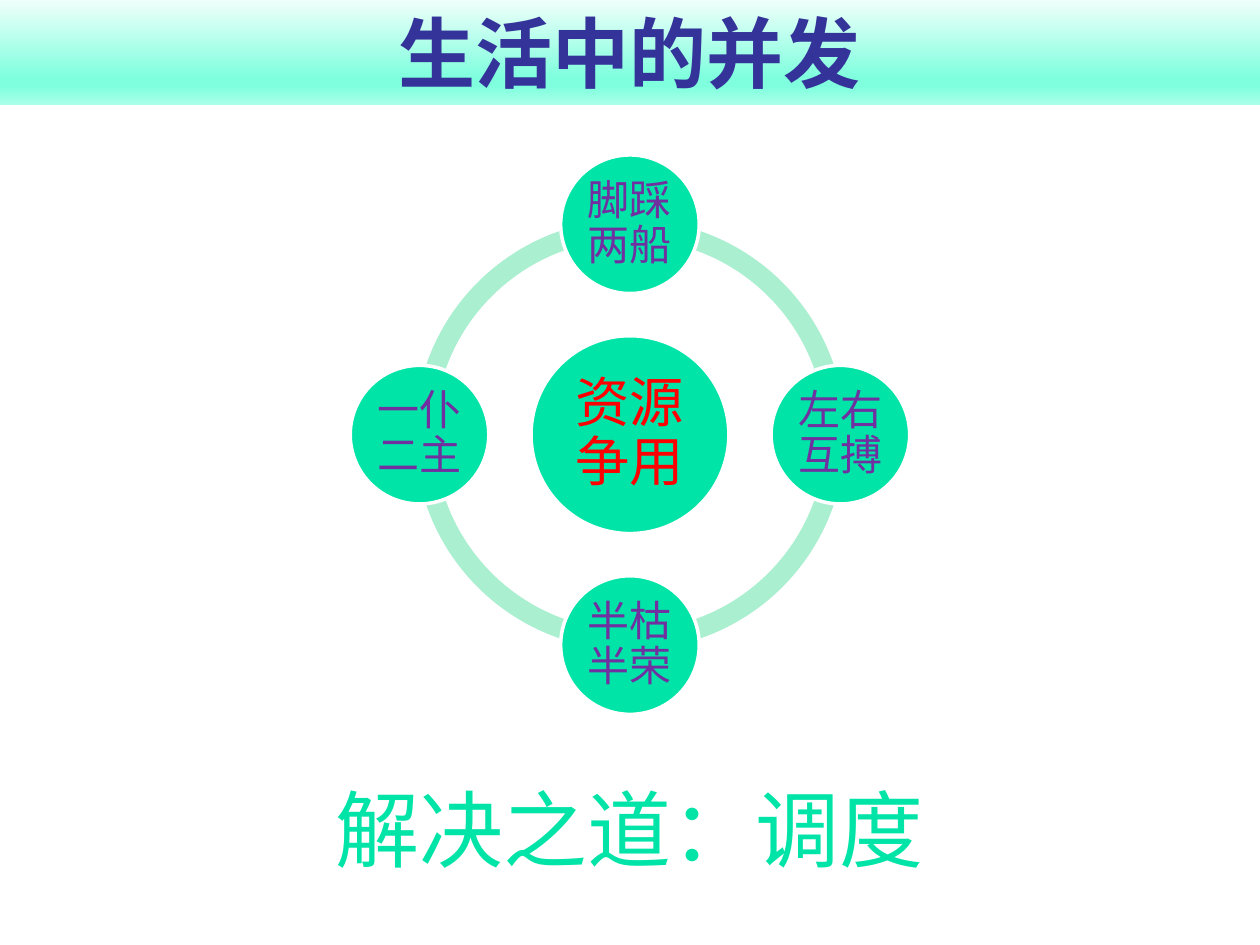
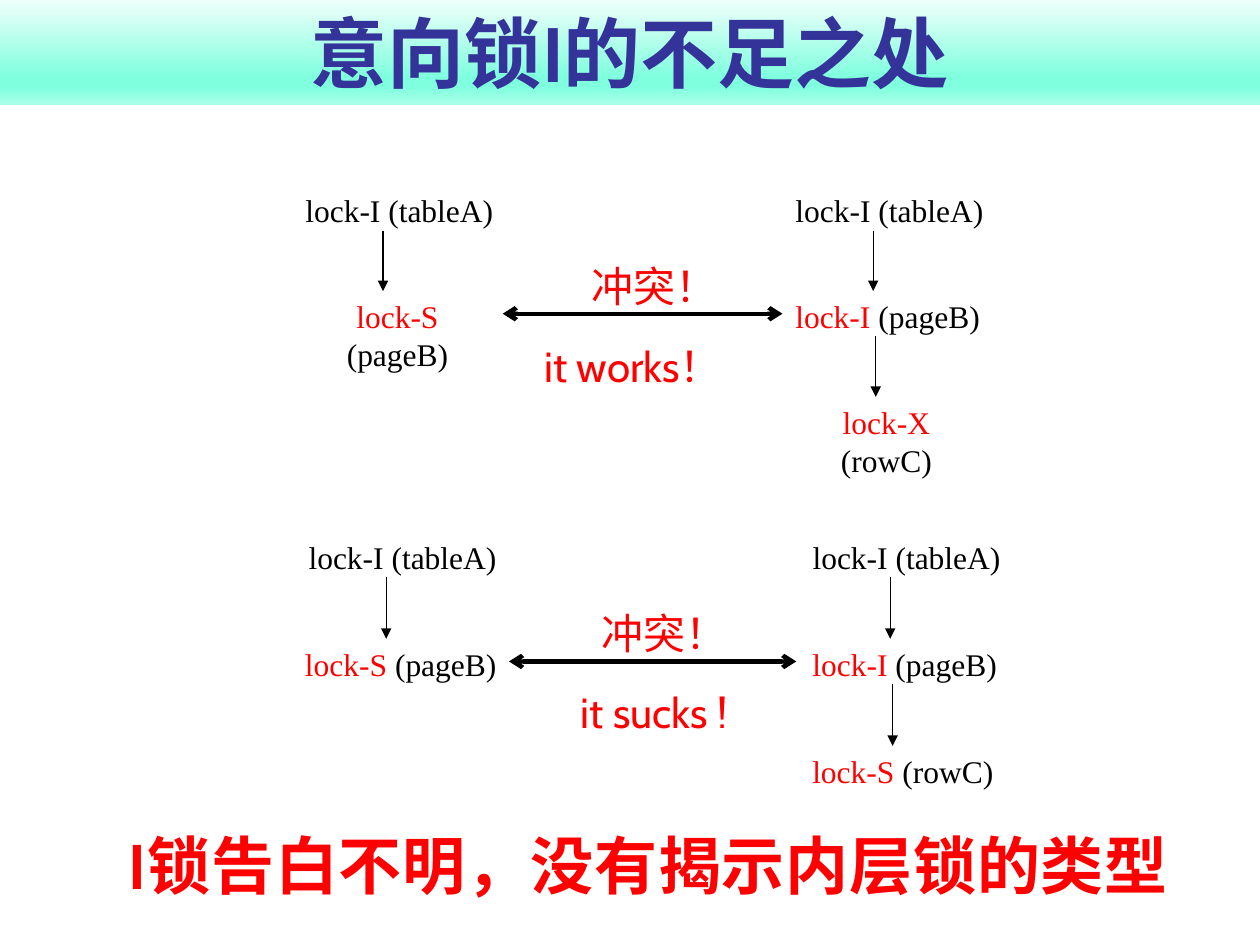
from lxml import etree
from pptx import Presentation
from pptx.dml.color import RGBColor
from pptx.enum.shapes import MSO_CONNECTOR, MSO_SHAPE
from pptx.enum.text import MSO_ANCHOR, PP_ALIGN
from pptx.oxml.ns import qn
from pptx.util import Inches, Pt

STRAIGHT = MSO_CONNECTOR.STRAIGHT
RECTANGLE, OVAL, BLOCK_ARC = MSO_SHAPE.RECTANGLE, MSO_SHAPE.OVAL, MSO_SHAPE.BLOCK_ARC
TOP, MIDDLE, BOTTOM = MSO_ANCHOR.TOP, MSO_ANCHOR.MIDDLE, MSO_ANCHOR.BOTTOM
CENTER = PP_ALIGN.CENTER

SANS, SERIF = "Cabin", "Times New Roman"
NAVY, GREEN, PALE_GREEN, PURPLE = "333399", "00E4A8", "ABEFD1", "7030A0"
RED, BLACK, WHITE = "FF0000", "000000", "FFFFFF"
BAND_STOPS = [(0, "F1FFFB"), (74, "80FFDE"), (83, "80FFDE"), (100, "AAFFE9")]


def color(value):
    """Turn a hex string into a colour."""
    return RGBColor.from_string(value)


def write(shape, spans, size=24, font=SANS, bold=False, anchor=TOP, wrap=False,
          inset=None, line_spacing=None, tracking=None):
    """Fill a shape with one centred paragraph of (text, colour) spans."""
    frame = shape.text_frame
    frame.word_wrap = wrap
    frame.vertical_anchor = anchor
    if inset is not None:
        frame.margin_left = frame.margin_right = Inches(inset)
        frame.margin_top = frame.margin_bottom = Inches(inset)
    para = frame.paragraphs[0]
    para.alignment = CENTER
    if line_spacing:
        para.line_spacing = line_spacing
    for text, tone in spans:
        span = para.add_run()
        span.text = text
        span.font.size = Pt(size)
        span.font.name = font
        span.font.bold = bold
        span.font.color.rgb = color(tone)
        if tracking:
            span._r.get_or_add_rPr().set("spc", str(round(tracking * 100)))


class SlideWriter:
    """Holds the deck, its style and the current slide."""

    def __init__(self):
        """Start an empty deck."""
        self.deck = Presentation()
        self.deck.slide_width, self.deck.slide_height = Inches(10), Inches(7.5)
        self.page = None

    def new_page(self, title):
        """Add a slide with the gradient title band."""
        self.page = self.deck.slides.add_slide(self.deck.slide_layouts[6])
        band = self.shape(RECTANGLE, 0, -0.01, 10, 0.84)
        band.fill.gradient()
        band.fill.gradient_angle = 270
        stops = band._element.spPr.find(".//" + qn("a:gsLst"))
        stops.clear()
        for position, tone in BAND_STOPS:
            stop = etree.SubElement(stops, qn("a:gs"), pos=str(position * 1000))
            etree.SubElement(stop, qn("a:srgbClr"), val=tone)
        write(band, [(title, NAVY)], size=44, bold=True, anchor=BOTTOM, wrap=True)

    def shape(self, kind, left, top, width, height, fill=None, outline=None):
        """Add a flat preset shape."""
        shape = self.page.shapes.add_shape(
            kind, Inches(left), Inches(top), Inches(width), Inches(height))
        shape.shadow.inherit = False
        if fill:
            shape.fill.solid()
            shape.fill.fore_color.rgb = color(fill)
        if outline:
            shape.line.color.rgb = color(outline)
            shape.line.width = Pt(2)
        else:
            shape.line.fill.background()
        return shape

    def circle(self, center_x, center_y, diameter, text, tone, size, inset):
        """Add a green circle with wrapped text."""
        disc = self.shape(OVAL, center_x - diameter / 2, center_y - diameter / 2,
                          diameter, diameter, GREEN, WHITE)
        write(disc, [(text, tone)], size=size, anchor=MIDDLE, wrap=True,
              inset=inset, line_spacing=0.9)

    def text(self, left, top, width, height, spans, **style):
        """Add a text box."""
        box = self.page.shapes.add_textbox(
            Inches(left), Inches(top), Inches(width), Inches(height))
        write(box, spans, **style)
        return box

    def arrow(self, start, end, width=0.75, head=None, tail="triangle"):
        """Add a straight black arrow."""
        line = self.page.shapes.add_connector(
            STRAIGHT, *(Inches(value) for value in (*start, *end)))
        line.line.color.rgb = color(BLACK)
        line.line.width = Pt(width)
        properties = line._element.spPr
        outline = properties.find(qn("a:ln"))
        for tag, kind in (("a:headEnd", head), ("a:tailEnd", tail)):
            if kind:
                etree.SubElement(outline, qn(tag), type=kind)
        etree.SubElement(properties, qn("a:effectLst"))
        return line

    def lock_chain(self, left, top, step, widths, locks):
        """Add a column of lock labels linked by arrows and return the labels."""
        labels = []
        for row, (spans, width) in enumerate(zip(locks, widths)):
            label_top = top + row * step
            labels.append(self.text(left, label_top, width, 0.36, spans,
                                    size=18, font=SERIF))
            if row:
                x = left + 0.7 + 0.02 * row + (widths[0] - 1.7) / 2
                self.arrow((x, label_top - step + 0.36), (x, label_top))
        return labels

    def lock_conflict(self, left, right, top, step, widths, last_lock, conflict, verdict):
        """Add two lock chains joined by a conflict arrow and its captions."""
        table = [("lock-I (tableA)", BLACK)]
        shared, intent = ([(lock, RED), (" (pageB)", BLACK)] for lock in ("lock-S", "lock-I"))
        row = [(last_lock, RED), (" (rowC)", BLACK)]
        left_labels = self.lock_chain(left, top, step, widths, [table, shared])
        right_labels = self.lock_chain(right, top, step, widths, [table, intent, row])
        y = top + step + 0.18
        link = self.arrow((left + widths[1], y), (right, y), 2.5, "arrow", "arrow")
        link.begin_connect(left_labels[1], 3)
        link.end_connect(right_labels[1], 1)
        for offset, (text, caption_left, width) in ((0.55, conflict), (1.18, verdict)):
            self.text(caption_left, top + offset, width, 0.5, [(text, RED)], wrap=True)


def build_life_slide(writer):
    """Build the ring of everyday concurrency."""
    writer.new_page("生活中的并发")
    center_x, center_y, orbit, ring, quarter = 5, 3.45, 1.67, 3.42, 54
    for index in range(4):
        arc = writer.shape(BLOCK_ARC, center_x - ring / 2, center_y - ring / 2,
                           ring, ring, PALE_GREEN)
        arc.adjustments[0] = quarter * index
        arc.adjustments[1] = quarter * (index + 1) % (4 * quarter)
        arc.adjustments[2] = 0.046
    writer.circle(center_x, center_y, 1.57, "资源争用", RED, 31, 0.04)
    examples = [("脚踩两船", 0, -1), ("左右互搏", 1, 0), ("半枯半荣", 0, 1), ("一仆二主", -1, 0)]
    for text, across, down in examples:
        writer.circle(center_x + across * orbit, center_y + down * orbit, 1.1,
                      text, PURPLE, 24, 0.03)
    writer.text(2.54, 6.12, 4.91, 0.91, [("解决之道：调度", GREEN)], size=48)


def build_lock_slide(writer):
    """Build the two intention lock scenes."""
    writer.new_page("意向锁I的不足之处")
    writer.lock_conflict(2.32, 6.21, 1.47, 0.84, (1.7, 1.67, 1.65), "lock-X",
                         ("冲突！", 4.52, 1.35), ("it works！", 4.18, 1.69))
    writer.lock_conflict(2.32, 6.32, 4.22, 0.85, (1.75, 1.72, 1.69), "lock-S",
                         ("冲突！", 4.58, 1.39), ("it sucks !", 4.32, 1.74))
    writer.text(0.83, 6.51, 8.64, 0.71, [("I锁告白不明，没有揭示内层锁的类型", RED)],
                size=36, bold=True, tracking=0.5)


def main():
    """Build and save the deck."""
    writer = SlideWriter()
    build_life_slide(writer)
    build_lock_slide(writer)
    writer.deck.save("out.pptx")


if __name__ == "__main__":
    main()
